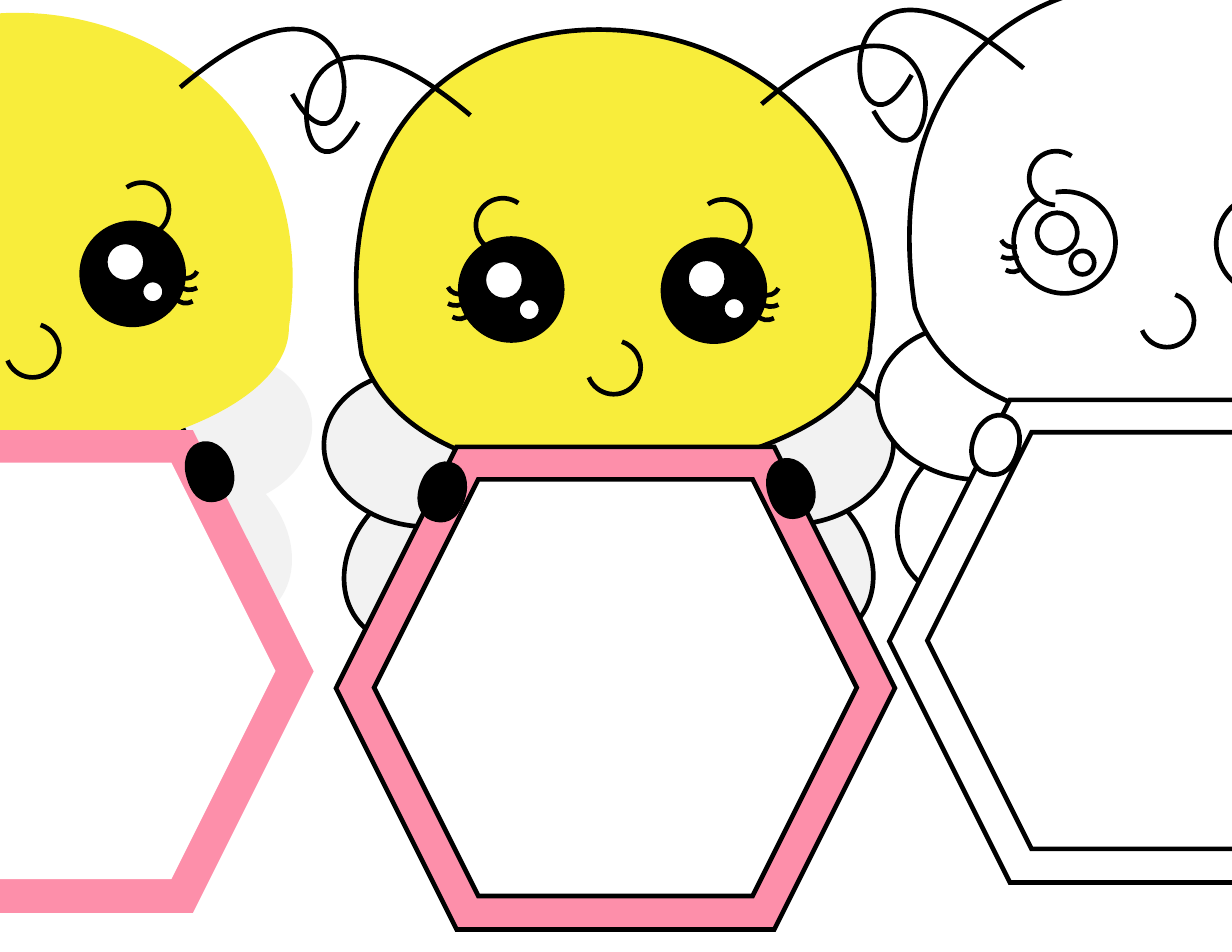
"""Three bees holding hexagon frames: borderless, outlined and uncoloured."""
import math

from pptx import Presentation
from pptx import util as u
from pptx.dml.color import RGBColor
from pptx.enum import shapes
from pptx.oxml.ns import qn
from lxml import etree

COLOURS = {"ink": "000000", "paper": "FFFFFF", "wing": "F2F2F2",
           "honey": "F8ED3B", "pink": "FD8FAA"}
COLOURED = {"wing": "wing", "body": "honey", "frame": "pink", "dark": "ink",
            "face": None, "edge": 3, "hand_edge": 1}
BORDERLESS = {**COLOURED, "edge": 0}
BLANK = {"wing": "paper", "body": "paper", "frame": "paper", "dark": "paper",
         "face": "paper", "edge": 3, "hand_edge": 3}
KINDS = shapes.MSO_SHAPE


class BeeSheet:
    def __init__(self, slide):
        self.slide = slide
        self.style = COLOURED
        self.offset = (0, 0)
        self.mirror = None

    def start_bee(self, style, dx, dy):
        self.style, self.offset = style, (dx, dy)

    def set_mirror(self, side, total, drop):
        """Reflect x to total - x and lower by drop on the right side."""
        self.mirror = (total, drop) if side == "right" else None

    def spot(self, x, y, w=0):
        if self.mirror:
            total, drop = self.mirror
            x, y = total - x - w, y + drop
        return x + self.offset[0], y + self.offset[1]

    def finish(self, shape, fill, width, turn):
        shape.shadow.inherit = False
        if fill:
            shape.fill.solid()
            shape.fill.fore_color.rgb = RGBColor.from_string(COLOURS[fill])
        else:
            shape.fill.background()
        if width:
            shape.line.color.rgb = RGBColor.from_string(COLOURS["ink"])
            shape.line.width = u.Pt(width)
            ln = shape.element.spPr.find(qn("a:ln"))
            etree.SubElement(ln, qn("a:miter"), lim="800000")
        else:
            shape.line.fill.background()
        shape.rotation = -turn % 360 if self.mirror else turn

    def preset(self, kind, x, y, w, h, fill, width=3, turn=0, sweep=None):
        left, top = self.spot(x, y, w)
        shape = self.slide.shapes.add_shape(
            kind, u.Inches(left), u.Inches(top), u.Inches(w), u.Inches(h))
        if sweep is not None:
            shape.adjustments[0] = sweep * 0.6
            shape.adjustments[1] = 0
        if self.mirror:
            shape.element.spPr.find(qn("a:xfrm")).set("flipH", "1")
        self.finish(shape, fill, width, turn)

    def curve(self, start, *segments, fill=None, width=3, closed=False,
              turn=0, centre=(0, 0)):
        """Draw lines (one point) and Bezier curves (three points)."""
        cx, cy = self.spot(*centre)
        angle = math.radians(turn if self.mirror else -turn)

        def emu(point):
            x, y = self.spot(*point)
            x, y = x - cx, y - cy
            return (u.Inches(cx + x * math.cos(angle) - y * math.sin(angle)),
                    u.Inches(cy + x * math.sin(angle) + y * math.cos(angle)))

        start = emu(start)
        segments = [[emu(p) for p in segment] for segment in segments]
        trace = [start]
        for segment in segments:
            controls = [trace[-1], *segment]
            degree = len(segment)
            steps = 1 if degree == 1 else 40
            for t in (i / steps for i in range(1, steps + 1)):
                weights = [math.comb(degree, k) * t**k * (1 - t)**(degree - k)
                           for k in range(degree + 1)]
                trace.append(tuple(sum(w * p[axis] for w, p in zip(weights, controls))
                                   for axis in (0, 1)))
        builder = self.slide.shapes.build_freeform(*start, scale=1.0)
        builder.add_line_segments(trace[1:], close=closed)
        shape = builder.convert_to_shape()

        outline = next(shape.element.iter(qn("a:path")))
        for child in list(outline):
            outline.remove(child)
        tags = {1: "a:lnTo", 3: "a:cubicBezTo"}
        steps = [("a:moveTo", [start])] + [(tags[len(s)], s) for s in segments]
        for tag, points in steps:
            step = etree.SubElement(outline, qn(tag))
            for x, y in points:
                etree.SubElement(step, qn("a:pt"), x=str(x - shape.left),
                                 y=str(y - shape.top))
        if closed:
            etree.SubElement(outline, qn("a:close"))
        self.finish(shape, fill, width, turn)

    def wings(self, side):
        self.set_mirror(side, 10.87, -0.02)
        for x, y, turn in ((3, 4.3, 319.2), (2.89, 3.32, 6.4)):
            self.preset(KINDS.OVAL, x, y, 1.74, 1.38, self.style["wing"],
                        self.style["edge"], turn)

    def body(self):
        self.mirror = None
        self.curve((4.47, 3.23), [(6.7, 3.1)],
                   [(6.31, 4.1), (8.49, 5.06), (5.45, 6.14)],
                   [(2.5, 5.23), (4.64, 3.65), (4.47, 3.23)],
                   fill=self.style["body"], closed=True)
        self.curve((3.23, 3.17), [(2.59, -0.95), (8.29, -0.42), (7.77, 3.07)],
                   [(7.78, 4.25), (3.84, 4.92), (3.23, 3.17)],
                   fill=self.style["body"], width=self.style["edge"], closed=True)

    def antenna(self, side):
        self.set_mirror(side, 11, -0.1)
        self.curve((4.2, 1.03), [(2.29, -0.59), (2.59, 2.19), (3.2, 1.09)])

    def smile(self):
        self.mirror = None
        self.preset(KINDS.ARC, 5.24, 3.04, 0.48, 0.48, self.style["face"],
                    turn=158.3, sweep=129.4)

    def eyeball(self, side):
        self.set_mirror(side, 10.94, 0.01)
        self.preset(KINDS.OVAL, 4.11, 2.13, 0.91, 0.91, self.style["dark"])

    def eye(self, side):
        self.eyeball(side)
        self.set_mirror(side, 10.81, -0.01)
        self.preset(KINDS.OVAL, 4.32, 2.32, 0.36, 0.36, "paper")
        self.set_mirror(side, 11.28, -0.01)
        self.preset(KINDS.OVAL, 4.62, 2.66, 0.21, 0.21, "paper")
        self.set_mirror(side, 10.95, 0.01)
        face = self.style["face"]
        self.curve((4.19, 2.81), [(4.14, 2.85), (4.1, 2.86), (4.04, 2.83)], fill=face)
        self.curve((4.15, 2.7), [(4.11, 2.73), (4.06, 2.74), (4, 2.71)], fill=face)
        self.curve((4.14, 2.62), [(4.08, 2.63), (4.03, 2.62), (4, 2.56)],
                   fill=face, turn=31.2, centre=(4.07, 2.6))
        self.preset(KINDS.ARC, 4.25, 1.77, 0.48, 0.48, face, turn=305.2, sweep=146.74)

    def frame(self):
        self.mirror = None
        self.curve((4.01, 4.25), [(4.04, 4.27)],
                   [(4.84, 4.8), (5.78, 4.85), (6.8, 4.4)],
                   [(6.98, 4.32)], [(7.01, 4.4)],
                   [(7.07, 4.56), (7.11, 4.72), (7.09, 4.87)],
                   [(7.08, 4.95)], [(7.05, 4.96)],
                   [(6.37, 5.24), (5.39, 5.73), (4.03, 4.97)],
                   [(3.89, 4.88)], [(3.88, 4.83)],
                   [(3.87, 4.65), (3.92, 4.47), (3.99, 4.3)], [(4.01, 4.25)],
                   fill=self.style["dark"], closed=True)
        edge = self.style["edge"]
        self.preset(KINDS.HEXAGON, 3, 3.99, 4.99, 4.31, self.style["frame"], edge)
        self.preset(KINDS.HEXAGON, 3.34, 4.28, 4.31, 3.72, "paper", edge)

    def hand(self, side):
        self.set_mirror(side, 11.01, -0.03)
        self.curve((3.76, 4.31), [(3.7, 4.46), (3.74, 4.6), (3.85, 4.64)],
                   [(3.95, 4.68), (4.08, 4.66), (4.14, 4.46)],
                   [(4.19, 4.32), (4.15, 4.18), (4.05, 4.14)],
                   [(3.94, 4.09), (3.81, 4.17), (3.76, 4.31)],
                   fill=self.style["dark"], width=self.style["hand_edge"],
                   closed=True, turn=201.5, centre=(3.95, 4.39))

    def bee(self, style, dx, dy, sides, far_eye=None):
        self.start_bee(style, dx, dy)
        for side in reversed(sides):
            self.wings(side)
        self.body()
        self.smile()
        for side in sides:
            self.antenna(side)
            self.eye(side)
        if far_eye:
            self.eyeball(far_eye)
        self.frame()
        for side in sides:
            self.hand(side)


def main():
    deck = Presentation()
    deck.slide_width, deck.slide_height = u.Inches(11), u.Inches(8.5)
    sheet = BeeSheet(deck.slides.add_slide(deck.slide_layouts[6]))
    sheet.bee(COLOURED, 0, 0, ["left", "right"])
    sheet.bee(BLANK, 4.94, -0.42, ["left"], far_eye="right")
    sheet.bee(BORDERLESS, -5.19, -0.15, ["right"])
    deck.save("out.pptx")


if __name__ == "__main__":
    main()
